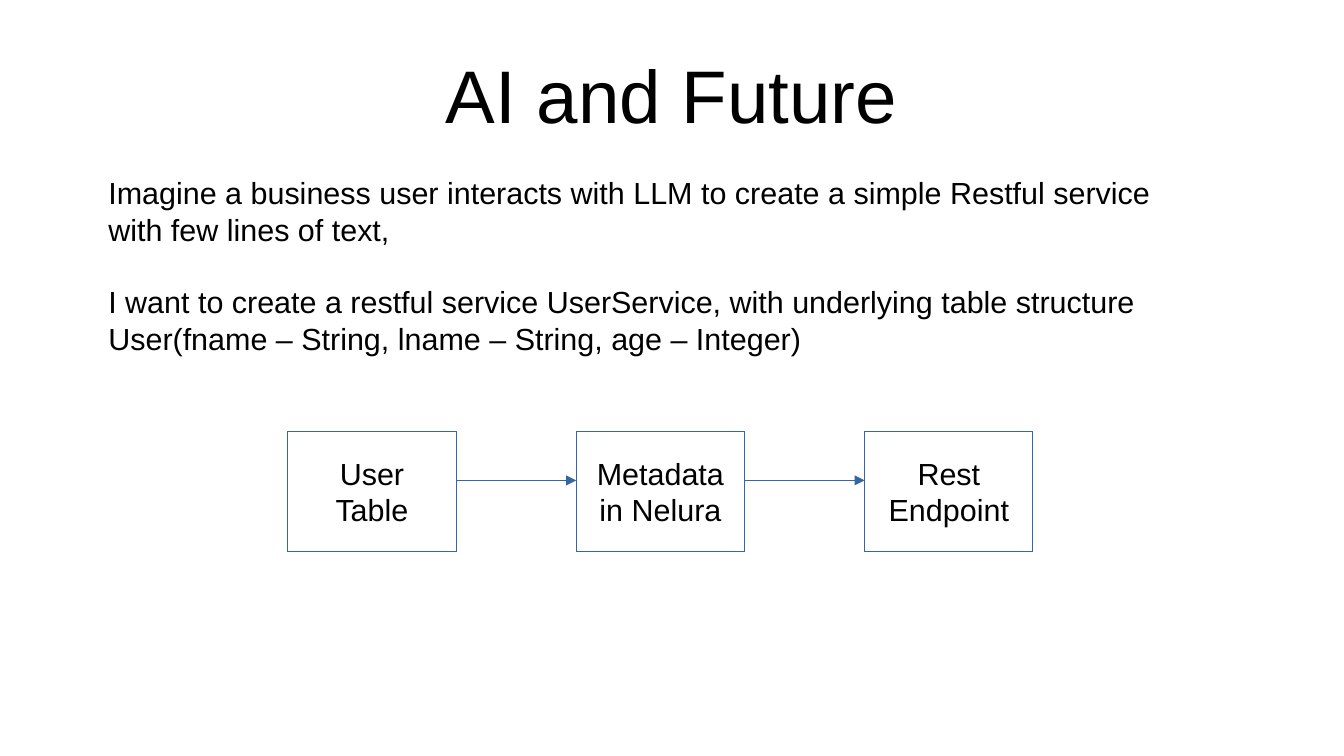
from pptx import Presentation
from pptx import util as u
from pptx.dml.color import RGBColor
from pptx.enum import shapes, text
from pptx.oxml.ns import qn
from lxml import etree

BLACK = RGBColor(0x00, 0x00, 0x00)
WHITE = RGBColor(0xFF, 0xFF, 0xFF)
BLUE = RGBColor(0x34, 0x65, 0xA4)

PROMPT = [
    "Imagine a business user interacts with LLM to create a simple Restful service"
    " with few lines of text,",
    "I want to create a restful service UserService, with underlying table structure"
    " User(fname – String, lname – String, age – Integer)",
]
STEPS = ["User Table", "Metadata in Nelura", "Rest Endpoint"]


def style_text(frame, size, align, anchor):
    frame.word_wrap = True
    frame.auto_size = text.MSO_AUTO_SIZE.NONE
    frame.vertical_anchor = anchor
    for paragraph in frame.paragraphs:
        paragraph.alignment = align
        for run in paragraph.runs:
            run.font.name = "Arial"
            run.font.size = u.Pt(size)
            run.font.color.rgb = BLACK


def draw_hairline(line):
    """Colour the line and write its zero width, which line.width would leave out."""
    line.color.rgb = BLUE
    outline = line._get_or_add_ln()
    outline.set("w", "0")
    return outline


def add_heading(slide, left, top, width, height):
    heading = slide.shapes.title
    heading.left, heading.top = left, top
    heading.width, heading.height = width, height
    frame = heading.text_frame
    frame.text = "AI and Future"
    frame.margin_left = frame.margin_right = frame.margin_top = frame.margin_bottom = 0
    style_text(frame, 44, text.PP_ALIGN.CENTER, text.MSO_ANCHOR.MIDDLE)


def add_prompt(slide, left, top, width, height):
    frame = slide.shapes.add_textbox(left, top, width, height).text_frame
    frame.text = "\n".join(PROMPT)
    style_text(frame, 18, text.PP_ALIGN.LEFT, text.MSO_ANCHOR.TOP)
    frame.paragraphs[1].space_before = u.Pt(21)


def add_step(slide, label, left, top, width, height):
    step = slide.shapes.add_shape(shapes.MSO_SHAPE.RECTANGLE, left, top, width, height)
    step.shadow.inherit = False
    step.fill.solid()
    step.fill.fore_color.rgb = WHITE
    draw_hairline(step.line)
    step.text_frame.text = label
    style_text(step.text_frame, 18, text.PP_ALIGN.CENTER, text.MSO_ANCHOR.MIDDLE)


def add_arrow(slide, start, end, y):
    arrow = slide.shapes.add_connector(shapes.MSO_CONNECTOR.STRAIGHT, start, y, end, y)
    etree.SubElement(draw_hairline(arrow.line), qn("a:tailEnd"), type="triangle")
    etree.SubElement(arrow._element.spPr, qn("a:effectLst"))


def add_flow(slide, left, top, width, height):
    """Spread the steps evenly over the width, with an arrow in each gap."""
    step_width = u.Inches(1.38)
    pitch = (width - step_width) // (len(STEPS) - 1)
    arrow_y = top + u.Inches(0.4)
    for index, label in enumerate(STEPS):
        step_left = left + index * pitch
        add_step(slide, label, step_left, top, step_width, height)
        if index:
            add_arrow(slide, step_left - pitch + step_width, step_left, arrow_y)


def main():
    deck = Presentation()
    deck.slide_width, deck.slide_height = u.Inches(11.02), u.Inches(6.2)
    slide = deck.slides.add_slide(deck.slide_layouts[5])
    slide.background.fill.solid()
    slide.background.fill.fore_color.rgb = WHITE
    add_heading(slide, u.Inches(0.55), u.Inches(0.25), u.Inches(9.92), u.Inches(1.04))
    add_prompt(slide, u.Inches(0.79), u.Inches(1.38), u.Inches(9.06), u.Inches(2.06))
    add_flow(slide, u.Inches(2.36), u.Inches(3.54), u.Inches(6.11), u.Inches(0.98))
    deck.save("out.pptx")


if __name__ == "__main__":
    main()
